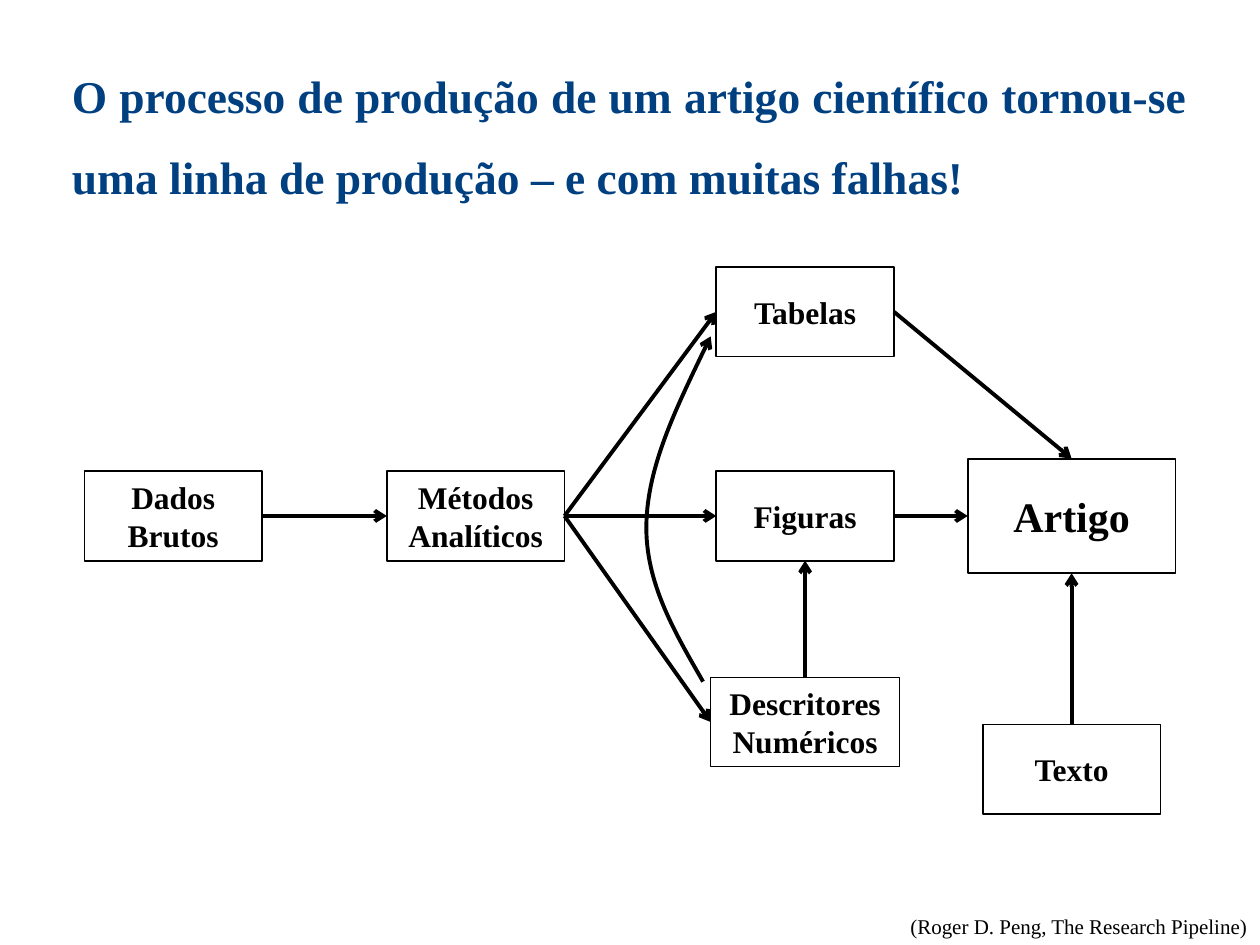
from collections import namedtuple
from itertools import islice

from lxml import etree
from pptx import Presentation
from pptx import util as u
from pptx.dml.color import RGBColor
from pptx.enum import shapes, text
from pptx.oxml.ns import qn

Box = namedtuple("Box", "left top width height")
Node = namedtuple("Node", "label column row width height size outline")

CELL = u.Inches(0.1)
COLUMNS, ROWS = 100, 75
TOP, LEFT, BOTTOM, RIGHT = range(4)


class Theme:
    """Colours, type sizes and line widths of the slide."""
    ink = RGBColor(0, 0, 0)
    paper = RGBColor(255, 255, 255)
    heading = RGBColor(0, 0x40, 0x80)
    face = "Times New Roman"
    heading_size, label_size, result_size, source_size = 26, 18, 24, 12
    outline, thin_outline, arrow = 1, 0.75, 2.25


NODES = {
    "data": Node("Dados\nBrutos", 7.05, 19.75, 14.1, 7.1, Theme.label_size, Theme.outline),
    "methods": Node("Métodos\nAnalíticos", 31.05, 19.75, 14.1, 7.1, Theme.label_size, Theme.outline),
    "tables": Node("Tabelas", 57.2, 3.55, 14.1, 7.1, Theme.label_size, Theme.outline),
    "figures": Node("Figuras", 57.2, 19.75, 14.1, 7.1, Theme.label_size, Theme.outline),
    "numbers": Node("Descritores Numéricos", 57.2, 36.1, 15, 7.1, Theme.label_size, Theme.thin_outline),
    "article": Node("Artigo", 78.35, 19.75, 16.5, 9.1, Theme.result_size, Theme.outline),
    "writing": Node("Texto", 78.35, 39.85, 14.1, 7.1, Theme.label_size, Theme.outline),
}

FLOWS = [
    ("data", RIGHT, "methods", LEFT),
    ("methods", RIGHT, "tables", LEFT),
    ("methods", RIGHT, "figures", LEFT),
    ("methods", RIGHT, "numbers", LEFT),
    ("numbers", TOP, "figures", BOTTOM),
    ("tables", RIGHT, "article", TOP),
    ("figures", RIGHT, "article", LEFT),
    ("writing", TOP, "article", BOTTOM),
]

BYPASS = [(49.1, 32.9), (46.8, 28.9), (44.5, 25), (44.6, 20.4),
          (44.7, 15.8), (47.2, 10.7), (49.7, 5.5)]


def apply(target, values):
    """Set each attribute named in values on target."""
    for name, value in values.items():
        setattr(target, name, value)


def place(box):
    """Turn a box in grid cells into slide lengths."""
    return [round(part * CELL) for part in box]


def set_text(frame, wording, size, colour, bold, paragraph_format, anchor):
    """Write wording into a frame, one paragraph a line."""
    frame.text = wording
    apply(frame, {"word_wrap": True, "auto_size": text.MSO_AUTO_SIZE.NONE,
                  "vertical_anchor": anchor})
    for paragraph in frame.paragraphs:
        apply(paragraph, paragraph_format)
        apply(paragraph.font, {"name": Theme.face, "size": u.Pt(size), "bold": bold})
        paragraph.font.color.rgb = colour


def set_line(line, width):
    """Give a line the ink colour and a width in points."""
    line.color.rgb = Theme.ink
    line.width = u.Pt(width)


def paint(shape, outline):
    """Fill a shape with paper colour, outline it and drop its shadow."""
    shape.shadow.inherit = False
    shape.fill.solid()
    shape.fill.fore_color.rgb = Theme.paper
    set_line(shape.line, outline)


def add_arrowhead(properties):
    """Put an open arrowhead at the end of an outline."""
    etree.SubElement(properties.find(qn("a:ln")), qn("a:tailEnd"), type="arrow")


def add_heading(slide, box):
    """Place and format the slide title."""
    title = slide.shapes.title
    apply(title, dict(zip(Box._fields, place(box))))
    set_text(title.text_frame, "O processo de produção de um artigo científico tornou-se "
             "uma linha de produção – e com muitas falhas!",
             Theme.heading_size, Theme.heading, True,
             {"alignment": text.PP_ALIGN.JUSTIFY, "line_spacing": 1.5},
             text.MSO_ANCHOR.TOP)


def add_node(slide, area, node):
    """Draw a labelled step centred on its column and row."""
    box = Box(area.left + node.column - node.width / 2,
              area.top + node.row - node.height / 2, node.width, node.height)
    step = slide.shapes.add_shape(shapes.MSO_SHAPE.RECTANGLE, *place(box))
    paint(step, node.outline)
    set_text(step.text_frame, node.label, node.size, Theme.ink, True,
             {"alignment": text.PP_ALIGN.CENTER}, text.MSO_ANCHOR.MIDDLE)
    return step


def add_flow(slide, source, source_side, target, target_side):
    """Join two steps with a straight arrow."""
    flow = slide.shapes.add_connector(shapes.MSO_CONNECTOR.STRAIGHT, 0, 0, 0, 0)
    flow.begin_connect(source, source_side)
    flow.end_connect(target, target_side)
    set_line(flow.line, Theme.arrow)
    properties = flow._element.spPr
    add_arrowhead(properties)
    etree.SubElement(properties, qn("a:effectLst"))


def add_bypass(slide, area):
    """Draw the curved arrow from the descriptors to the tables."""
    points = [place((area.left + x, area.top + y)) for x, y in BYPASS]
    builder = slide.shapes.build_freeform(*points[0])
    builder.add_line_segments(points[1:], close=False)
    bypass = builder.convert_to_shape()
    paint(bypass, Theme.arrow)
    properties = bypass._element.spPr
    add_arrowhead(properties)
    outline = next(properties.iter(qn("a:path")))
    segments = iter(outline.findall(qn("a:lnTo")))
    while controls := list(islice(segments, 3)):
        curve = etree.SubElement(outline, qn("a:cubicBezTo"))
        for segment in controls:
            curve.append(segment[0])
            outline.remove(segment)


def add_pipeline(slide, area):
    """Draw the steps of the pipeline and the arrows between them."""
    steps = {key: add_node(slide, area, node) for key, node in NODES.items()}
    add_bypass(slide, area)
    for source, source_side, target, target_side in FLOWS:
        add_flow(slide, steps[source], source_side, steps[target], target_side)


def add_source(slide, box):
    """Place the credit in the lower right corner."""
    credit = slide.shapes.add_textbox(*place(box))
    set_text(credit.text_frame, "(Roger D. Peng, The Research Pipeline)",
             Theme.source_size, Theme.ink, False,
             {"alignment": text.PP_ALIGN.RIGHT, "space_after": u.Pt(6)},
             text.MSO_ANCHOR.TOP)


def main():
    """Build the slide and save it."""
    deck = Presentation()
    apply(deck, {"slide_width": COLUMNS * CELL, "slide_height": ROWS * CELL})
    slide = deck.slides.add_slide(deck.slide_layouts.get_by_name("Title Only"))
    add_heading(slide, Box(4.7, 2.7, 90.6, 13.8))
    add_pipeline(slide, Box(6.7, 21.2, 86.6, 43.4))
    add_source(slide, Box(COLUMNS - 32.9, ROWS - 3, 32.9, 3))
    deck.save("out.pptx")


if __name__ == "__main__":
    main()
